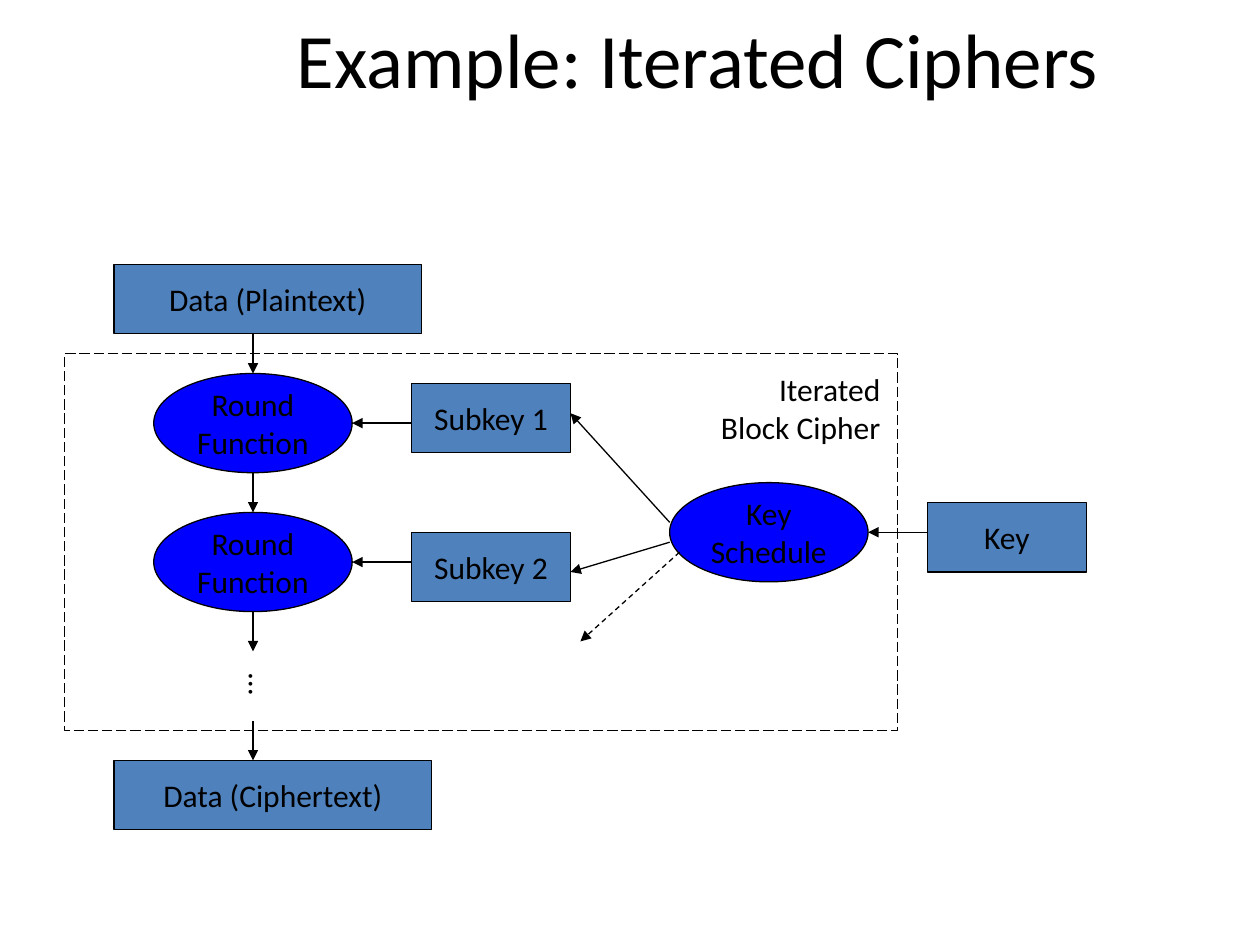
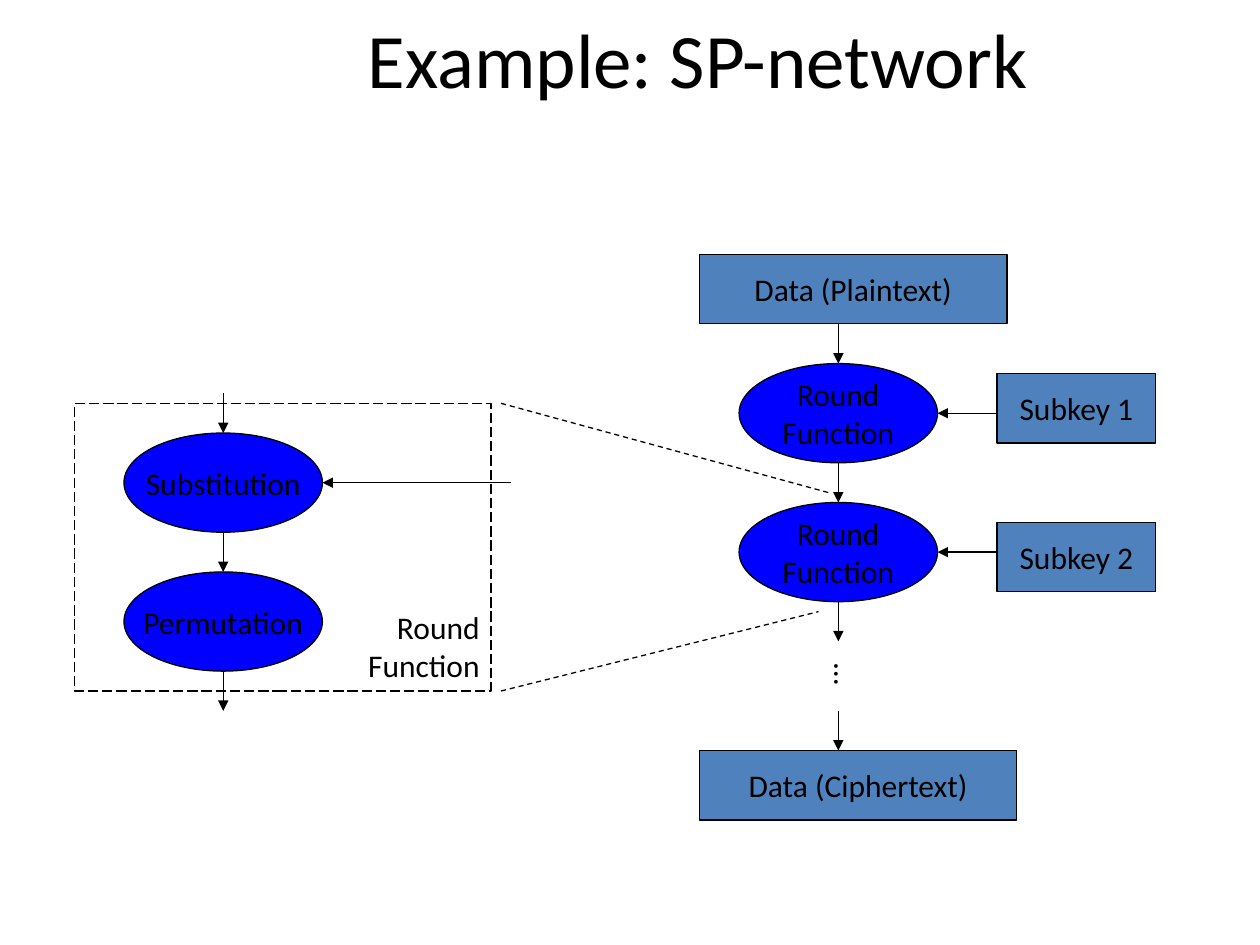
from dataclasses import dataclass
from lxml import etree
from pptx import Presentation
from pptx.dml.color import RGBColor
from pptx.enum.dml import MSO_LINE
from pptx.enum.shapes import MSO_CONNECTOR, MSO_SHAPE
from pptx.enum.text import MSO_ANCHOR, MSO_AUTO_SIZE, PP_ALIGN
from pptx.oxml.ns import qn
from pptx.util import Inches, Pt

RECTANGLE, OVAL = MSO_SHAPE.RECTANGLE, MSO_SHAPE.OVAL
STRAIGHT = MSO_CONNECTOR.STRAIGHT
DASH, LONG_DASH = MSO_LINE.DASH, MSO_LINE.LONG_DASH
LEFT, CENTER, RIGHT = PP_ALIGN.LEFT, PP_ALIGN.CENTER, PP_ALIGN.RIGHT
TOP, MIDDLE = MSO_ANCHOR.TOP, MSO_ANCHOR.MIDDLE
GROW = MSO_AUTO_SIZE.SHAPE_TO_FIT_TEXT


@dataclass(frozen=True)
class Theme:
    font: str = "Calibri"
    title_size: Pt = Pt(44)
    body_size: Pt = Pt(18)
    line_width: Pt = Pt(0.75)
    ink: RGBColor = RGBColor(0x00, 0x00, 0x00)
    data: RGBColor = RGBColor(0x4F, 0x81, 0xBD)
    function: RGBColor = RGBColor(0x00, 0x00, 0xFF)


theme = Theme()
presentation = Presentation()
presentation.slide_width, presentation.slide_height = Inches(10), Inches(7.5)
blank_layout = presentation.slide_layouts[6]

# Square grid: 127 cells across the slide, shifted by part of a cell.
cell = presentation.slide_width / 127
column_shift, row_shift = 0.5, 0.65
data_height = 7
key_size = (16, data_height)
oval_size = (20, 10)


def add_block(slide, kind, place, size, text="", fill=None, dash=None,
              align=CENTER, anchor=MIDDLE, text_size=theme.body_size):
    """Add a preset shape, or a plain text box when kind is None."""
    box = (round((place[0] + column_shift) * cell), round((place[1] + row_shift) * cell),
           round(size[0] * cell), round(size[1] * cell))
    if kind is None:
        shape = slide.shapes.add_textbox(*box)
    else:
        shape = slide.shapes.add_shape(kind, *box)
        shape.shadow.inherit = False
        shape.line.color.rgb = theme.ink
        shape.line.width = theme.line_width
        if dash:
            shape.line.dash_style = dash
        if fill:
            shape.fill.solid()
            shape.fill.fore_color.rgb = fill
        else:
            shape.fill.background()
    frame = shape.text_frame
    frame.text = text
    frame.word_wrap = kind is None
    frame.vertical_anchor = anchor
    for paragraph in frame.paragraphs:
        paragraph.alignment = align
        for run in paragraph.runs:
            run.font.name = theme.font
            run.font.size = text_size
            run.font.color.rgb = theme.ink
    return shape


def add_line(slide, start, end, dash=None, arrow=True):
    points = [round((value + shift) * cell) for point in (start, end)
              for value, shift in zip(point, (column_shift, row_shift))]
    connector = slide.shapes.add_connector(STRAIGHT, *points)
    connector.line.color.rgb = theme.ink
    connector.line.width = theme.line_width
    if dash:
        connector.line.dash_style = dash
    if arrow:
        line = connector.line._get_or_add_ln()
        etree.SubElement(line, qn("a:tailEnd"), type="triangle")
    etree.SubElement(connector._element.spPr, qn("a:effectLst"))


# Both slides: title and the chain of rounds, from plaintext to ciphertext
slides = []
for title, left, top in (("Example: Iterated Ciphers", 11, 26),
                         ("Example: SP-network", 70, 25)):
    slide = presentation.slides.add_slide(blank_layout)
    slides.append(slide)
    add_block(slide, None, (13.2, -row_shift), (113.3, 11.6), title,
              text_size=theme.title_size)
    add_block(slide, RECTANGLE, (left, top), (31, data_height),
              "Data (Plaintext)", theme.data)
    add_block(slide, RECTANGLE, (left, top + 50), (32, data_height),
              "Data (Ciphertext)", theme.data)

    for number, (round_row, key_row) in enumerate(((11, 12), (25, 27)), 1):
        add_block(slide, OVAL, (left + 4, top + round_row), oval_size,
                  "Round\nFunction", theme.function)
        add_line(slide, (left + 30, top + round_row + 5), (left + 24, top + round_row + 5))
        add_block(slide, RECTANGLE, (left + 30, top + key_row), key_size,
                  f"Subkey {number}", theme.data)
    for row in (7, 21, 35, 46):
        add_line(slide, (left + 14, top + row), (left + 14, top + row + 4))

    ellipsis = add_block(slide, None, (left + 11, top + 40), (6.4, 4), "…",
                         align=LEFT, anchor=TOP)
    ellipsis.text_frame.word_wrap = False
    ellipsis.text_frame.auto_size = GROW
    ellipsis.text_frame._txBody.bodyPr.set("vert", "eaVert")

cipher_slide, network_slide = slides

# Iterated cipher: the key schedule feeds the subkeys
add_block(cipher_slide, RECTANGLE, (6, 35), (84, 38), dash=LONG_DASH)
add_block(cipher_slide, OVAL, (67, 48), oval_size, "Key\nSchedule", theme.function)
add_block(cipher_slide, RECTANGLE, (93, 50), key_size, "Key", theme.data)
for start, end, dash in (((93, 53), (87, 53), None),
                         ((67, 52), (57, 41), None),
                         ((67, 54), (57, 57), None),
                         ((68, 55), (58, 64), DASH)):
    add_line(cipher_slide, start, end, dash)
add_block(cipher_slide, None, (67, 36), (22.5, 8.9), "Iterated\vBlock Cipher",
          align=RIGHT, anchor=TOP)

# SP-network: one round function enlarged
for row, step in ((43, "Substitution"), (57, "Permutation")):
    add_block(network_slide, OVAL, (12, row), oval_size, step, theme.function)
for row in (39, 53, 67):
    add_line(network_slide, (22, row), (22, row + 4))
add_block(network_slide, RECTANGLE, (7, 40), (42, 29), dash=LONG_DASH)
add_line(network_slide, (51, 48), (32, 48))
add_block(network_slide, None, (33, 60), (16.1, 8.9), "Round\nFunction",
          align=RIGHT, anchor=TOP)
for start, end in (((50, 69), (82, 61)), ((50, 40), (83, 49))):
    add_line(network_slide, start, end, DASH, arrow=False)

presentation.save("out.pptx")
